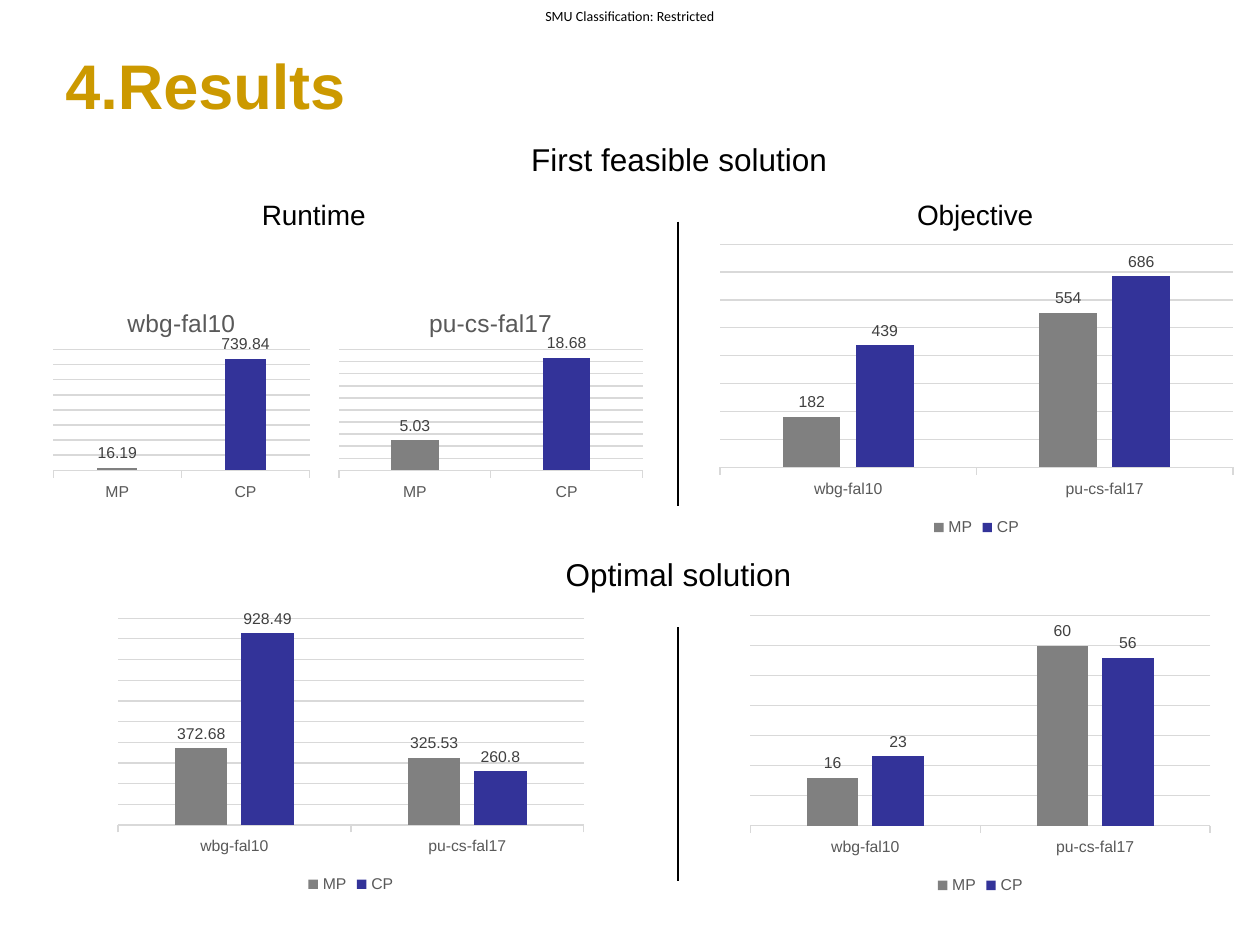
"""Build the results slide comparing MP and CP runtimes and objectives."""
from lxml.etree import SubElement
from pptx import Presentation
from pptx.chart.data import CategoryChartData
from pptx.dml.color import RGBColor
from pptx.enum.chart import XL_CHART_TYPE, XL_LABEL_POSITION, XL_LEGEND_POSITION, XL_TICK_MARK
from pptx.enum.shapes import MSO_CONNECTOR
from pptx.enum.text import MSO_ANCHOR, MSO_AUTO_SIZE, PP_ALIGN
from pptx.oxml.ns import qn
from pptx.util import Pt

PX = 9144
SLIDE_SIZE = (1000, 750)
COLORS = {
    "black": "000000", "gold": "CC9900", "MP": "808080", "CP": "333399",
    "axis_text": "595959", "label_text": "404040", "grid": "D9D9D9",
}
COURSES = ["wbg-fal10", "pu-cs-fal17"]
METHODS = ["MP", "CP"]

SECTION = {"size": 18, "align": PP_ALIGN.CENTER}
COLUMN = {"size": 16, "wrap": False}
TEXTS = [
    ("SMU Classification: Restricted", (418, 0, 164, 25),
     {"size": 8, "name": "Calibri", "align": PP_ALIGN.CENTER, "anchor": MSO_ANCHOR.MIDDLE, "inset": 0}),
    ("4.Results", (42, 32, 908, 70),
     {"size": 36, "color": "gold", "bold": True, "anchor": MSO_ANCHOR.MIDDLE}),
    ("First feasible solution", (354, 106, 370, 40), SECTION),
    ("Optimal solution", (381, 436, 315, 40), SECTION),
    ("Runtime", (198, 152, 104, 37), COLUMN),
    ("Objective", (718, 152, 114, 37), COLUMN),
]
DIVIDER_X = 538
DIVIDER_SPANS = [(176, 402), (498, 699)]

GROUPED_CHARTS = [
    ((86, 484, 385, 229), {"MP": (372.68, 325.53), "CP": (928.49, 260.8)}, 1000, 100),
    ((588, 484, 380, 230), {"MP": (16, 60), "CP": (23, 56)}, 70, 10),
    ((563, 189, 424, 241), {"MP": (182, 554), "CP": (439, 686)}, 800, 100),
]
COURSE_CHARTS = [
    ((38, 232, 212, 169), {"wbg-fal10": (16.19, 739.84)}, 800, 100),
    ((264, 232, 251, 169), {"pu-cs-fal17": (5.03, 18.68)}, 20, 2),
]


def rgb(color):
    return RGBColor.from_string(COLORS[color])


def scaled(lengths):
    return [length * PX for length in lengths]


def set_values(target, values):
    for attribute, value in values.items():
        setattr(target, attribute, value)


def style_font(font, size, color="black", name="Arial", bold=False):
    set_values(font, {"size": Pt(size), "name": name, "bold": bold})
    font.color.rgb = rgb(color)


def style_line(line, color):
    line.color.rgb = rgb(color)
    line.width = Pt(0.75)


def paint(part, color):
    part.format.fill.solid()
    part.format.fill.fore_color.rgb = rgb(color)


def add_text(slide, wording, box, look):
    frame = slide.shapes.add_textbox(*scaled(box)).text_frame
    set_values(frame, {
        "word_wrap": look.get("wrap", True),
        "auto_size": MSO_AUTO_SIZE.SHAPE_TO_FIT_TEXT,
        "vertical_anchor": look.get("anchor", MSO_ANCHOR.TOP),
    })
    if "inset" in look:
        sides = ("left", "top", "right", "bottom")
        set_values(frame, {f"margin_{side}": look["inset"] for side in sides})
    paragraph = frame.paragraphs[0]
    paragraph.alignment = look.get("align", PP_ALIGN.LEFT)
    run = paragraph.add_run()
    run.text = wording
    style_font(run.font, **{key: look[key] for key in ("size", "color", "name", "bold") if key in look})


def add_divider(slide, top, bottom):
    ends = scaled((DIVIDER_X, top, DIVIDER_X, bottom))
    divider = slide.shapes.add_connector(MSO_CONNECTOR.STRAIGHT, *ends)
    style_line(divider.line, "black")
    SubElement(divider._element.spPr, qn("a:effectLst"))


def add_columns(slide, box, categories, results, maximum, step):
    data = CategoryChartData()
    data.categories = categories
    for name, values in results.items():
        data.add_series(name, values)
    chart = slide.shapes.add_chart(XL_CHART_TYPE.COLUMN_CLUSTERED, *scaled(box), data).chart
    style_font(chart.font, 10)
    plot = chart.plots[0]
    set_values(plot, {"gap_width": 219, "overlap": -27, "vary_by_categories": False})

    set_values(chart.value_axis, {
        "visible": False, "has_major_gridlines": True,
        "minimum_scale": 0, "maximum_scale": maximum, "major_unit": step,
    })
    style_line(chart.value_axis.major_gridlines.format.line, "grid")
    chart.category_axis.major_tick_mark = XL_TICK_MARK.OUTSIDE
    style_line(chart.category_axis.format.line, "grid")
    style_font(chart.category_axis.tick_labels.font, 9, "axis_text")

    for series in plot.series:
        paint(series, COLORS and series.name if series.name in METHODS else "CP")
        labels = series.data_labels
        set_values(labels, {"show_value": True, "position": XL_LABEL_POSITION.OUTSIDE_END})
        style_font(labels.font, 9, "label_text")
    return chart


def add_grouped_chart(slide, box, results, maximum, step):
    chart = add_columns(slide, box, COURSES, results, maximum, step)
    set_values(chart, {"has_title": False, "has_legend": True})
    set_values(chart.legend, {"position": XL_LEGEND_POSITION.BOTTOM, "include_in_layout": False})
    style_font(chart.legend.font, 9, "axis_text")


def add_course_chart(slide, box, results, maximum, step):
    chart = add_columns(slide, box, METHODS, results, maximum, step)
    set_values(chart, {"has_title": True, "has_legend": False})
    title = chart.chart_title.text_frame
    title.text = chart.plots[0].series[0].name
    style_font(title.paragraphs[0].runs[0].font, 14, "axis_text")
    paint(chart.plots[0].series[0].points[0], "MP")


def main():
    deck = Presentation()
    deck.slide_width, deck.slide_height = scaled(SLIDE_SIZE)
    slide = deck.slides.add_slide(deck.slide_layouts[6])
    for chart_content in GROUPED_CHARTS:
        add_grouped_chart(slide, *chart_content)
    for chart_content in COURSE_CHARTS:
        add_course_chart(slide, *chart_content)
    for text_content in TEXTS:
        add_text(slide, *text_content)
    for span in DIVIDER_SPANS:
        add_divider(slide, *span)
    deck.save("out.pptx")


if __name__ == "__main__":
    main()
